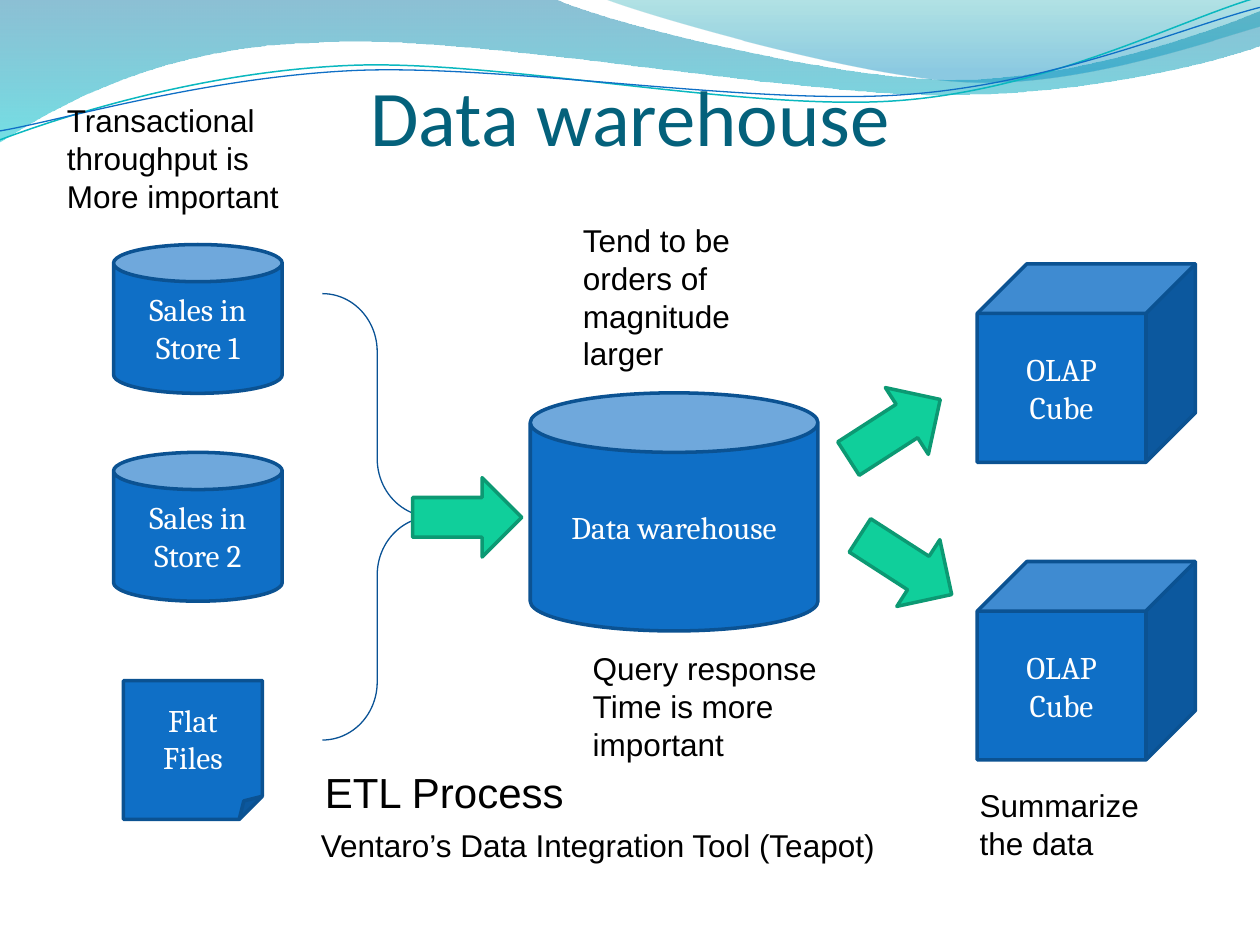
"""Build the data warehouse slide: sources, ETL, warehouse and OLAP cubes."""
from lxml.etree import SubElement
from pptx import Presentation
from pptx.dml.color import RGBColor
from pptx.enum.shapes import MSO_SHAPE as Shape
from pptx.enum.text import MSO_ANCHOR as Anchor, MSO_AUTO_SIZE as AutoSize, PP_ALIGN as Align
from pptx.oxml.ns import qn
from pptx.util import Cm, Pt

COLORS = {
    "title": "04617B", "text": "000000", "white": "FFFFFF",
    "blue": "0F6FC6", "blue edge": "0B5292", "brace": "095295",
    "green": "10CF9B", "green edge": "0C9973", "teal": "0AB8BF",
    "wave top": "0074A1", "wave end": "00C6CF",
    "crest top": "00A1A9", "crest end": "008BBF",
}


def rgb(name):
    return RGBColor.from_string(COLORS[name])


def write(frame, lines, size, font, color, align):
    for index, line in enumerate(lines):
        para = frame.paragraphs[0] if index == 0 else frame.add_paragraph()
        para.alignment = align
        span = para.add_run()
        span.text = line
        span.font.size = Pt(size)
        span.font.name = font
        span.font.color.rgb = rgb(color)


deck = Presentation()
deck.slide_width, deck.slide_height = Cm(25.4), Cm(19.05)
page = deck.slides.add_slide(deck.slide_layouts[5])
shapes = page.shapes

WAVES = [
    ([(0, 0), (11.18, -0.02), (12.09, 0.43, 16.87, 1.6, 19.25, 1.6),
      (21.67, 1.6, 24.33, 0.66, 25.4, 0.23), (25.43, 0.91),
      (24.97, 1.12, 22.1, 1.93, 18.95, 1.91), (15.8, 1.91, 9.7, 0.71, 6.53, 0.86),
      (3.28, 0.91, 1.17, 2.11, -0.03, 2.87)],
     [(0, "wave top", 45), (1, "wave end", 55)], None, 0),
    ([(12.17, -0.03), (12.93, 0.28, 17.32, 1.57, 19.53, 1.65),
      (21.74, 1.75, 24.41, 0.81, 25.4, 0.53), (25.4, 0)],
     [(0, "crest top", 30), (0.8, "crest end", 45)], None, 0),
    ([(0, 2.82), (1.22, 2.36, 4.01, 1.45, 7.04, 1.32),
      (10.03, 1.19, 15.06, 2.26, 18.11, 2.03), (21.16, 1.8, 23.83, 0.38, 25.35, -0.05)],
     None, "teal", 0.85),
    ([(0, 2.64), (1.19, 2.44, 4.17, 1.55, 7.19, 1.42),
      (10.24, 1.3, 15.16, 2.13, 18.21, 1.91), (21.23, 1.7, 23.9, 0.53, 25.4, 0.15)],
     None, "blue", 0.75),
]
for moves, stops, edge, width in WAVES:
    outline = [(Cm(move[i]), Cm(move[i + 1])) for move in moves for i in range(0, len(move), 2)]
    builder = shapes.build_freeform(*outline[0])
    builder.add_line_segments(outline[1:], close=bool(stops))
    wave = builder.convert_to_shape()
    wave.shadow.inherit = False
    segments = iter(list(wave._element.iter(qn("a:lnTo"))))
    for move in moves[1:]:
        segment = next(segments)
        if len(move) == 6:
            segment.tag = qn("a:cubicBezTo")
            for extra in (next(segments), next(segments)):
                segment.append(extra[0])
                extra.getparent().remove(extra)
    if stops:
        wave.line.fill.background()
        wave.fill.gradient()
        wave.fill.gradient_angle = 270
        for stop, (position, color, _) in zip(wave.fill.gradient_stops, stops):
            stop.position = position
            stop.color.rgb = rgb(color)
        for tint, (_, _, opacity) in zip(wave._element.iter(qn("a:srgbClr")), stops):
            SubElement(tint, qn("a:alpha")).set("val", str(opacity * 1000))
    else:
        wave.fill.background()
        wave.line.color.rgb = rgb(edge)
        wave.line.width = Pt(width)

title = shapes.title
title.left, title.top, title.width, title.height = Cm(1.27), Cm(1.96), Cm(22.86), Cm(3.18)
frame = title.text_frame
frame.vertical_anchor = Anchor.BOTTOM
frame.margin_left = frame.margin_right = frame.margin_bottom = 0
write(frame, ["Data warehouse"], 45, "Calibri", "title", Align.CENTER)
frame.paragraphs[0].add_line_break()
shapes._spTree.append(title._element)

NODES = [
    (Shape.CAN, 2.29, 4.93, 3.4, 3, ["Sales in Store 1"]),
    (Shape.CAN, 2.29, 9.12, 3.4, 3, ["Sales in Store 2"]),
    (Shape.FOLDED_CORNER, 2.49, 13.72, 2.8, 2.8, ["Flat", "Files"]),
    (Shape.CAN, 10.69, 7.92, 5.8, 4.8, ["Data warehouse"]),
    (Shape.CUBE, 19.7, 5.32, 4.4, 4, ["OLAP", "Cube"]),
    (Shape.CUBE, 19.7, 11.32, 4.4, 4, ["OLAP", "Cube"]),
]
ARROWS = [(8.32, 9.63, 0), (16.93, 7.85, 327.2), (17.16, 10.59, 32.8)]

brace = shapes.add_shape(Shape.RIGHT_BRACE, Cm(6.5), Cm(5.92), Cm(2.21), Cm(9))
brace.adjustments[0], brace.adjustments[1] = 0.53, 0.5
brace.shadow.inherit = False
brace.fill.background()
brace.line.color.rgb = rgb("brace")
brace.line.width = Pt(0.75)

parts = [(*node, 0, "blue") for node in NODES]
parts += [(Shape.RIGHT_ARROW, x, y, 2.2, 1.6, [], turn, "green") for x, y, turn in ARROWS]
for kind, x, y, width, height, lines, turn, color in parts:
    part = shapes.add_shape(kind, Cm(x), Cm(y), Cm(width), Cm(height))
    part.rotation = turn
    part.shadow.inherit = False
    part.fill.solid()
    part.fill.fore_color.rgb = rgb(color)
    part.line.color.rgb = rgb(color + " edge")
    part.line.width = Pt(2)
    part.text_frame.vertical_anchor = Anchor.MIDDLE
    write(part.text_frame, lines, 18, "Cambria", "white", Align.CENTER)

NOTES = [
    (6.3, 15.32, 5.36, 1.3, 24, ["ETL Process"]),
    (11.5, 4.33, 3.5, 3.33, 18, ["Tend to be", "orders of", "magnitude", "larger"]),
    (11.7, 12.96, 5.08, 2.57, 18, ["Query response", "Time is more", "important"]),
    (1.1, 1.92, 4.83, 2.57, 18, ["Transactional", "throughput is", "More important"]),
    (19.5, 15.72, 3.76, 1.8, 18, ["Summarize", "the data"]),
    (6.22, 16.53, 11.68, 1.02, 18, ["Ventaro’s Data Integration Tool (Teapot)"]),
]
for x, y, width, height, size, lines in NOTES:
    box = shapes.add_textbox(Cm(x), Cm(y), Cm(width), Cm(height))
    box.text_frame.word_wrap = False
    box.text_frame.auto_size = AutoSize.SHAPE_TO_FIT_TEXT
    write(box.text_frame, lines, size, "Arial", "text", Align.LEFT)

deck.save("out.pptx")
